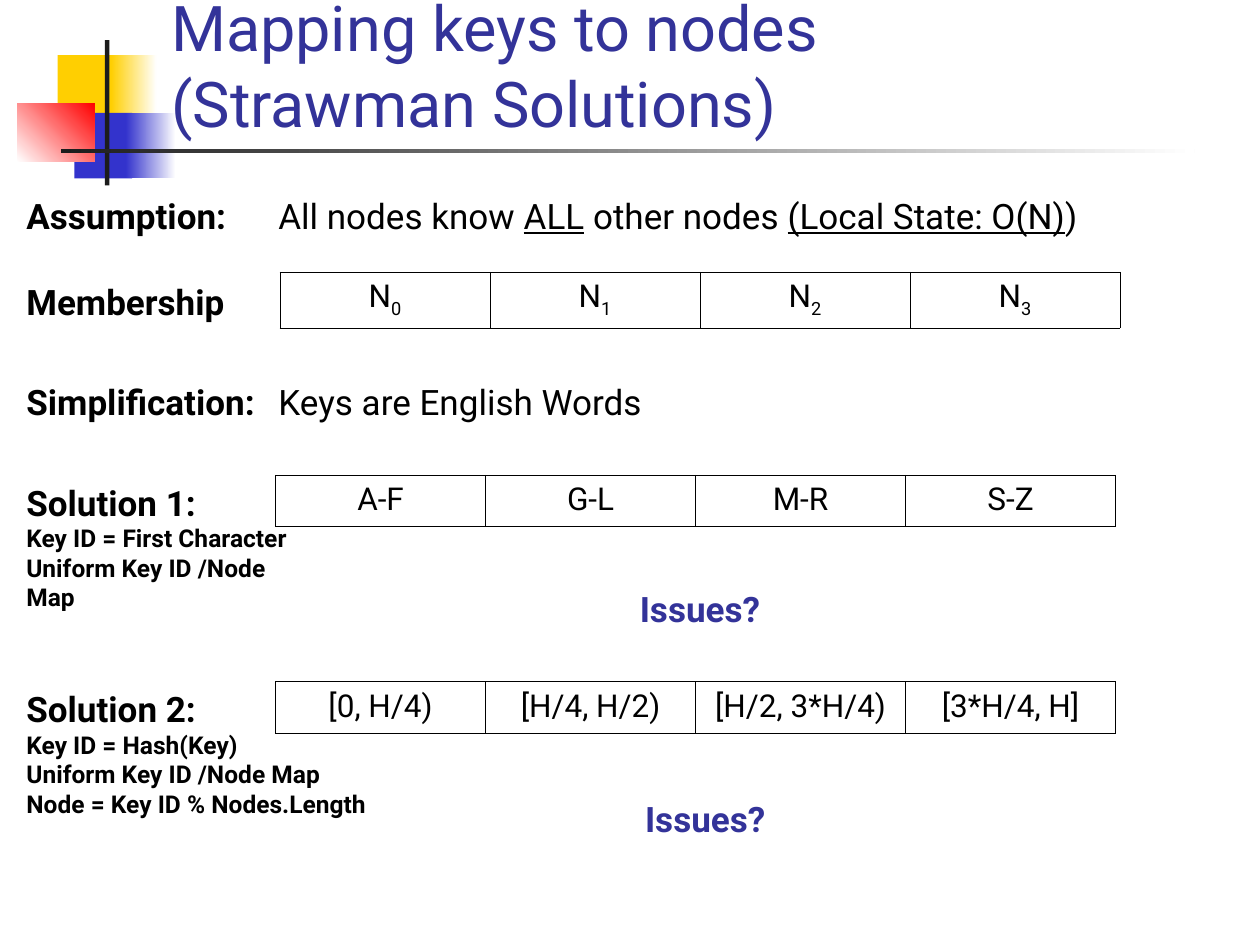
from dataclasses import dataclass
from typing import NamedTuple

from lxml import etree
from pptx import Presentation
from pptx.dml.color import RGBColor
from pptx.enum import shapes, text
from pptx.oxml.ns import qn
from pptx.util import Pt


@dataclass(frozen=True)
class Theme:
    font: str = "Roboto"
    ink: str = "000000"
    accent: str = "333399"
    white: str = "FFFFFF"
    yellow: str = "FFCF01"
    blue: str = "3333CC"
    red: str = "FF0000"
    dark: str = "1C1C1C"
    title: float = 36
    heading: float = 20
    cell: float = 18
    detail: float = 14
    border: float = 0.45


T = Theme()
LEFT = 8
TAB = 144
COLUMN = 120


class Span(NamedTuple):
    text: str
    size: float = T.heading
    bold: bool = False
    underline: bool = False
    subscript: bool = False
    color: str = T.ink


class Block(NamedTuple):
    left: float
    top: float
    width: float
    height: float
    start: str
    end: str = ""
    angle: float = 0


class Label(NamedTuple):
    left: float
    top: float
    width: float
    height: float
    lines: list[list[Span]]
    centered: bool = False
    tabbed: bool = False


class Strip(NamedTuple):
    left: float
    top: float
    height: float
    cells: list[list[Span]]


def style_run(r, span: Span) -> None:
    f = r.font
    f.name, f.size = T.font, Pt(span.size)
    f.bold, f.underline = span.bold, span.underline
    f.color.rgb = RGBColor.from_string(span.color)
    if span.subscript:
        r._r.get_or_add_rPr().set("baseline", "-25000")


def fill_paragraph(p, spans: list[Span], centered: bool = False) -> None:
    p.alignment = text.PP_ALIGN.CENTER if centered else text.PP_ALIGN.LEFT
    for span in spans:
        r = p.add_run()
        r.text = span.text
        style_run(r, span)


def add_tab(p, position: float) -> None:
    tabs = etree.SubElement(p._p.get_or_add_pPr(), qn("a:tabLst"))
    etree.SubElement(tabs, qn("a:tab"), pos=str(Pt(position)), algn="l")


def draw_block(s, b: Block) -> None:
    sp = s.shapes.add_shape(shapes.MSO_SHAPE.RECTANGLE,
                            Pt(b.left), Pt(b.top), Pt(b.width), Pt(b.height))
    sp.shadow.inherit = False
    sp.line.fill.background()
    if b.end:
        sp.fill.gradient()
        sp.fill.gradient_angle = b.angle
        for stop, color in zip(sp.fill.gradient_stops, (b.start, b.end)):
            stop.color.rgb = RGBColor.from_string(color)
    else:
        sp.fill.solid()
        sp.fill.fore_color.rgb = RGBColor.from_string(b.start)


def draw_label(s, label: Label) -> None:
    tf = s.shapes.add_textbox(Pt(label.left), Pt(label.top),
                              Pt(label.width), Pt(label.height)).text_frame
    tf.word_wrap = True
    tf.auto_size = text.MSO_AUTO_SIZE.SHAPE_TO_FIT_TEXT
    for i, spans in enumerate(label.lines):
        p = tf.add_paragraph() if i else tf.paragraphs[0]
        if label.tabbed:
            add_tab(p, TAB)
        fill_paragraph(p, spans, label.centered)


def draw_title(s, wording: str) -> None:
    tf = s.shapes.add_textbox(Pt(90.7), Pt(16.5), Pt(613.5), Pt(67)).text_frame
    tf.word_wrap = True
    tf.vertical_anchor = text.MSO_ANCHOR.BOTTOM
    tf.text = wording
    for r in tf.paragraphs[0].runs:
        style_run(r, Span(r.text, T.title, color=T.accent))


def add_borders(cell) -> None:
    tcPr = cell._tc.get_or_add_tcPr()
    for i, side in enumerate(("lnL", "lnR", "lnT", "lnB")):
        ln = etree.Element(qn(f"a:{side}"), w=str(Pt(T.border)))
        fill = etree.SubElement(ln, qn("a:solidFill"))
        etree.SubElement(fill, qn("a:srgbClr"), val=T.ink)
        tcPr.insert(i, ln)


def draw_strip(s, strip: Strip) -> None:
    count = len(strip.cells)
    table = s.shapes.add_table(1, count, Pt(strip.left), Pt(strip.top),
                               Pt(COLUMN * count), Pt(strip.height)).table
    table.first_row = table.horz_banding = False
    for column, cell, spans in zip(table.columns, table.rows[0].cells, strip.cells):
        column.width = Pt(COLUMN)
        cell.fill.background()
        add_borders(cell)
        fill_paragraph(cell.text_frame.paragraphs[0], spans, centered=True)


def solution(top: float, width: float, height: float, name: str, *details: str) -> Label:
    lines = [[Span(name, bold=True)]]
    lines += [[Span(d, T.detail, bold=True)] for d in details]
    return Label(LEFT, top, width, height, lines)


def issues(left: float, top: float) -> Label:
    return Label(left, top, 480, 31.5, [[Span("Issues?", bold=True, color=T.accent)]], centered=True)


# Corner ornament and title rule
BLOCKS = [
    Block(33, 31.5, 34.5, 37.5, T.yellow),
    Block(63.5, 31.5, 26, 37.5, T.yellow, T.white),
    Block(42.5, 64.5, 33, 37.5, T.blue),
    Block(72, 64.5, 28.5, 37.5, T.blue, T.white),
    Block(10, 59, 44, 33.5, T.white, T.red, 45),
    Block(60, 23, 2.5, 83, T.dark),
    Block(34.75, 85.2, 648, 2.2, T.dark, T.white),
]

# Row captions, explanations and questions
LABELS = [
    Label(LEFT, 107.5, 632, 31.5, [[
        Span("Assumption:\t", bold=True), Span("All nodes know "),
        Span("ALL", underline=True), Span(" other nodes "),
        Span("(Local State: O(N)", underline=True), Span(")")]], tabbed=True),
    Label(LEFT, 157, 149, 31.5, [[Span("Membership", bold=True)]]),
    Label(LEFT, 214, 480, 31.5, [[
        Span("Simplification:\t", bold=True), Span("Keys are English Words")]], tabbed=True),
    solution(271.5, 172, 98.5, "Solution 1:",
             "Key ID = First Character", "Uniform Key ID /Node Map"),
    solution(389.5, 223, 98.5, "Solution 2:", "Key ID = Hash(Key)",
             "Uniform Key ID /Node Map", "Node = Key ID % Nodes.Length"),
    issues(160, 332),
    issues(163, 452),
]

# Node and key range tables
STRIPS = [
    Strip(160, 155.5, 32, [
        [Span("N", T.cell), Span(str(i), T.cell, subscript=True)] for i in range(4)]),
    Strip(157.5, 271.5, 29.5, [
        [Span(t, T.cell)] for t in ("A-F", "G-L", "M-R", "S-Z")]),
    Strip(157.5, 389.5, 29.5, [
        [Span(t, T.cell)] for t in ("[0, H/4)", "[H/4, H/2)", "[H/2, 3*H/4)", "[3*H/4, H]")]),
]


def main() -> None:
    prs = Presentation()
    prs.slide_width, prs.slide_height = Pt(720), Pt(540)
    s = prs.slides.add_slide(prs.slide_layouts[6])
    for block in BLOCKS:
        draw_block(s, block)
    draw_title(s, "Mapping keys to nodes\v(Strawman Solutions)")
    for strip in STRIPS:
        draw_strip(s, strip)
    for label in LABELS:
        draw_label(s, label)
    prs.save("out.pptx")


if __name__ == "__main__":
    main()
